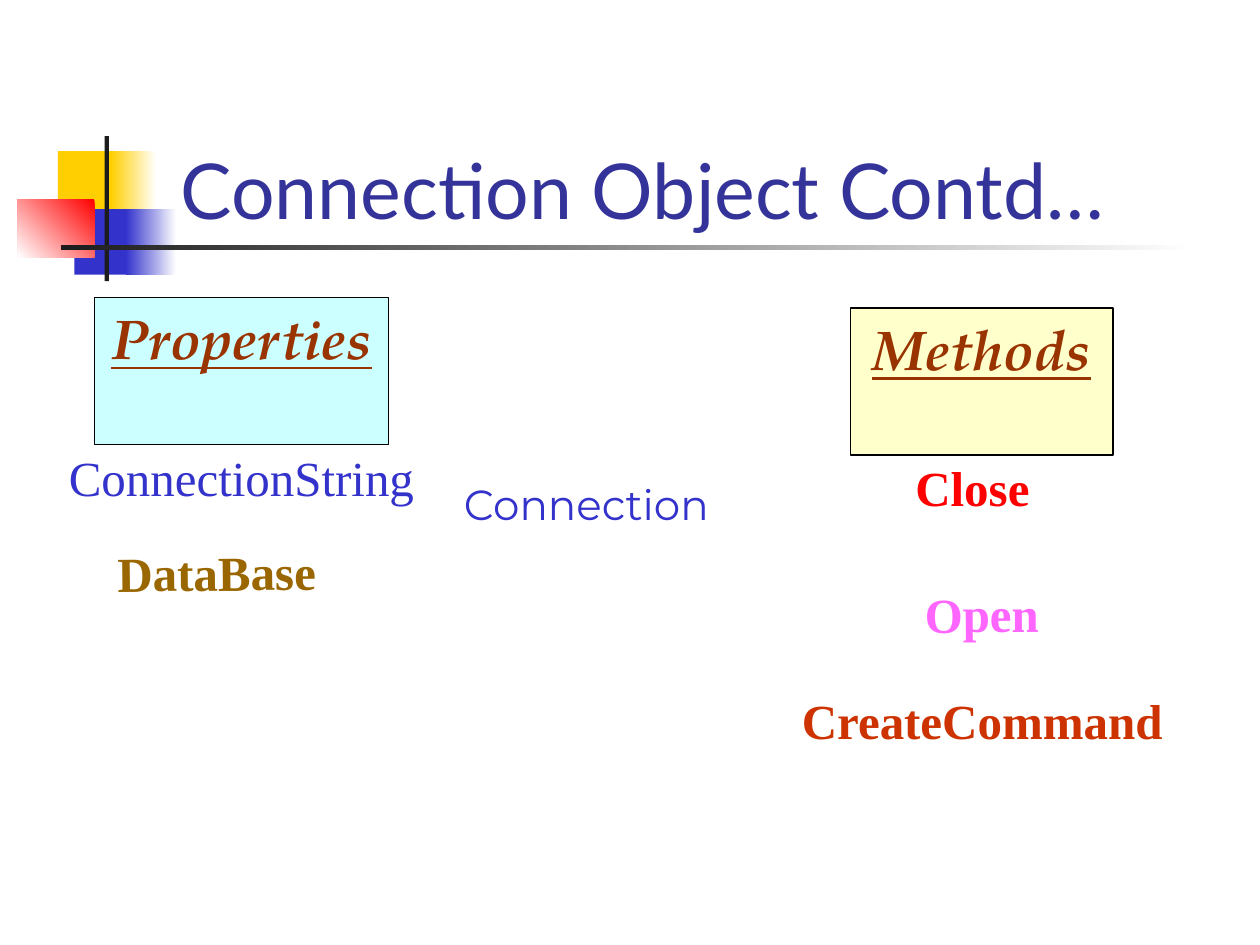
from pptx import Presentation
from pptx.dml.color import RGBColor
from pptx.enum.shapes import MSO_SHAPE
from pptx.enum.text import MSO_ANCHOR, MSO_AUTO_SIZE, PP_ALIGN
from pptx.util import Pt


def rgb(value):
    return RGBColor.from_string(value)


def write(shape, text, *, font="Times New Roman", size=28, color="3333CC",
          bold=False, italic=False, underline=False, align=PP_ALIGN.LEFT, wrap=True):
    frame = shape.text_frame
    frame.word_wrap = wrap
    frame.auto_size = MSO_AUTO_SIZE.NONE
    frame.vertical_anchor = MSO_ANCHOR.TOP
    paragraph = frame.paragraphs[0]
    paragraph.alignment = align
    run = paragraph.add_run()
    run.text = text
    run.font.name, run.font.size = font, Pt(size)
    run.font.bold, run.font.italic, run.font.underline = bold, italic, underline
    run.font.color.rgb = rgb(color)


deck = Presentation()
deck.slide_width, deck.slide_height = Pt(720), Pt(540)
slide = deck.slides.add_slide(deck.slide_layouts[5])

ornaments = [
    (33.1, 86.4, 34.6, 37.4, ["FFCF01"], 0),
    (63.4, 86.4, 25.9, 37.4, ["FFCF01", "FFFFFF"], 0),
    (42.5, 119.5, 33.1, 37.4, ["3333CC"], 0),
    (72, 119.5, 28.8, 37.4, ["3333CC", "FFFFFF"], 0),
    (10.1, 113.8, 43.9, 33.1, ["FF0000", "FFFFFF"], 225),
    (59.8, 77.8, 2.4, 82.8, ["1C1C1C"], 0),
    (34.6, 140.2, 648, 2.4, ["1C1C1C", "FFFFFF"], 0),
]
for left, top, width, height, colors, angle in ornaments:
    ornament = slide.shapes.add_shape(
        MSO_SHAPE.RECTANGLE, Pt(left), Pt(top), Pt(width), Pt(height))
    ornament.shadow.inherit = False
    ornament.line.fill.background()
    if len(colors) == 1:
        ornament.fill.solid()
        ornament.fill.fore_color.rgb = rgb(colors[0])
    else:
        ornament.fill.gradient()
        ornament.fill.gradient_angle = angle
        for stop, color in zip(ornament.fill.gradient_stops, colors):
            stop.color.rgb = rgb(color)

title = slide.shapes.title
title.left, title.top, title.width, title.height = Pt(96), Pt(78), Pt(582), Pt(60.5)
write(title, "Connection Object Contd…", font="Lato", size=44, color="333399")

headings = [
    ("Properties", 54, 170, 168, "CCFFFF"),
    ("Methods", 486, 176, 150, "FFFFCC"),
]
for text, left, top, width, fill in headings:
    heading = slide.shapes.add_shape(
        MSO_SHAPE.RECTANGLE, Pt(left), Pt(top), Pt(width), Pt(84))
    heading.shadow.inherit = False
    heading.fill.solid()
    heading.fill.fore_color.rgb = rgb(fill)
    heading.line.color.rgb = rgb("000000")
    heading.line.width = Pt(0.75)
    write(heading, text, font="TeX Gyre Pagella", size=32, color="993300",
          bold=True, italic=True, underline=True, align=PP_ALIGN.CENTER)

members = [
    ("ConnectionString", 30, 252, 216, 0, dict(align=PP_ALIGN.CENTER)),
    ("DataBase", 60, 306, 173, -0.6, dict(color="996600", bold=True)),
    ("Close", 516, 258, 102, 0, dict(color="FF0000", bold=True)),
    ("Open", 516, 330, 90, -0.4,
     dict(color="FF66FF", bold=True, align=PP_ALIGN.CENTER)),
    ("CreateCommand", 450, 391, 222.5, 0,
     dict(color="CC3300", bold=True, align=PP_ALIGN.CENTER)),
    ("Connection", 258, 270, 204, 0, dict(font="Montserrat", size=24, wrap=False)),
]
for text, left, top, width, rotation, style in members:
    member = slide.shapes.add_textbox(Pt(left), Pt(top), Pt(width), Pt(41))
    member.rotation = rotation
    write(member, text, **style)

deck.save("out.pptx")
